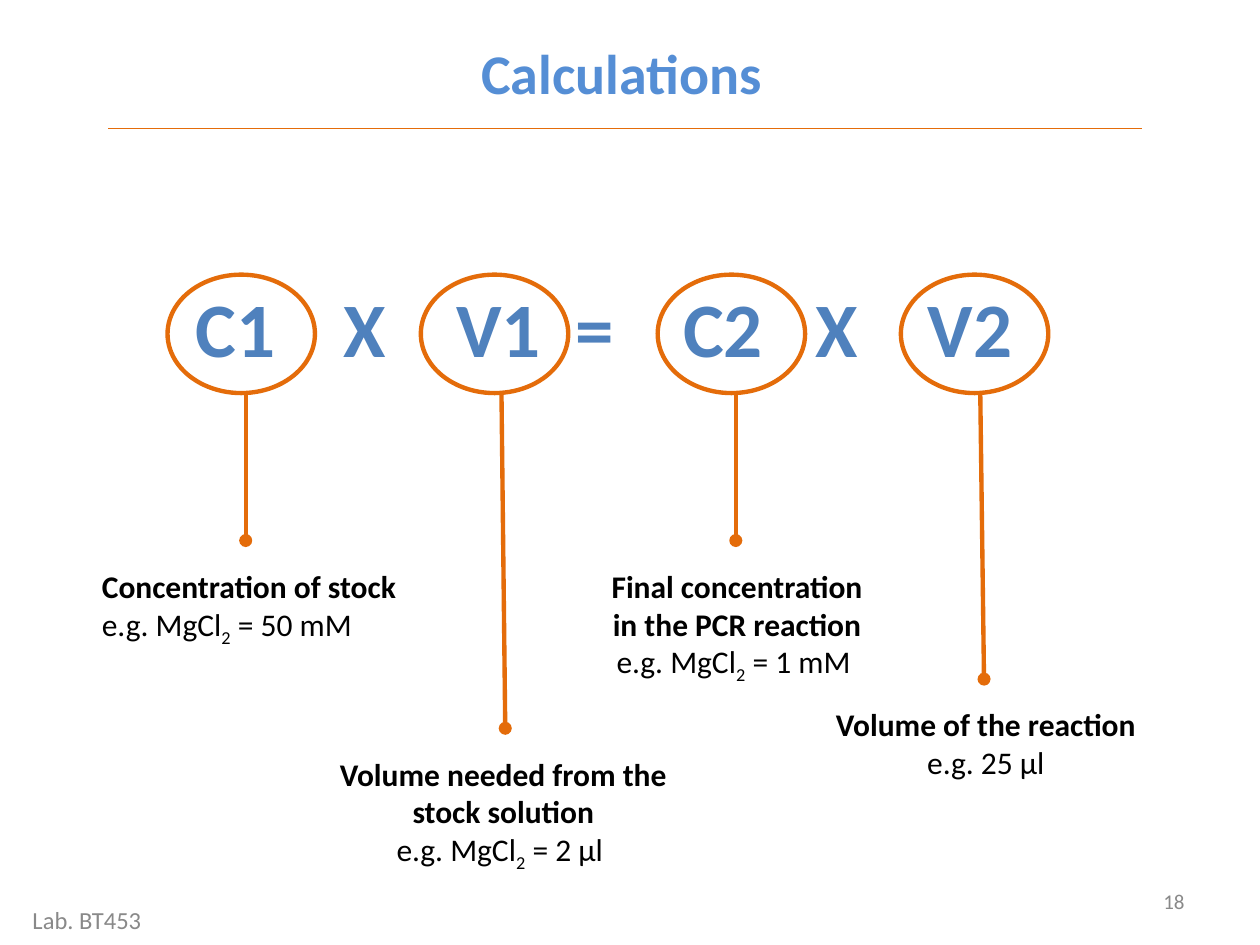
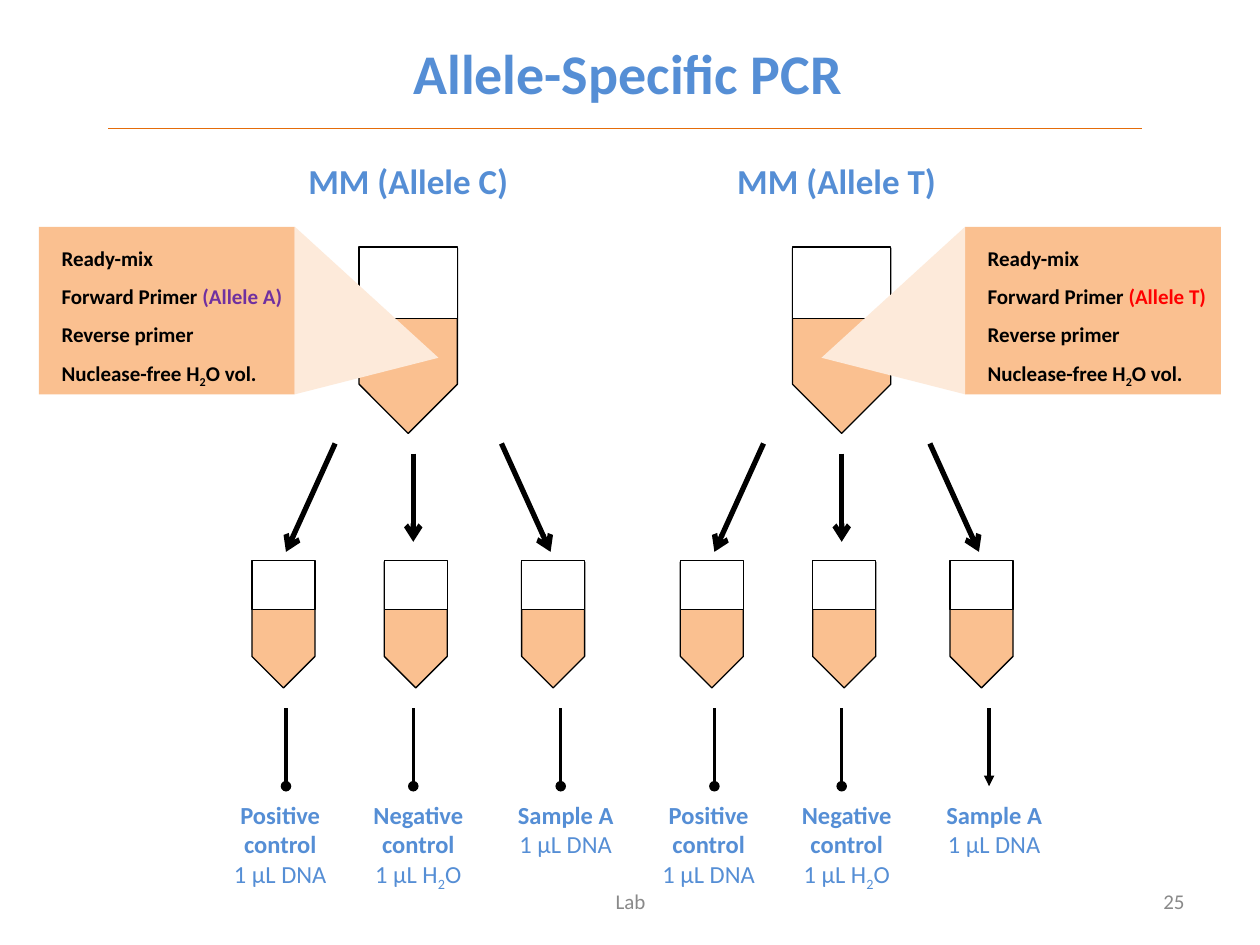
from pptx import Presentation
from pptx.dml.color import RGBColor
from pptx.enum.shapes import MSO_CONNECTOR, MSO_SHAPE
from pptx.enum.text import MSO_ANCHOR, MSO_AUTO_SIZE, PP_ALIGN
from pptx.oxml.ns import qn
from pptx.util import Pt
from lxml import etree

PX = 9144  # EMU per px, 100 px to the inch
FONT = "Calibri"
TITLE_ONLY = 5

TITLE_BLUE = RGBColor(0x55, 0x8E, 0xD5)
FORMULA_BLUE = RGBColor(0x4F, 0x81, 0xBD)
ORANGE = RGBColor(0xE4, 0x6C, 0x0A)
LIQUID = RGBColor(0xFA, 0xC0, 0x90)
POINTER = RGBColor(0xFD, 0xEA, 0xDA)
BLACK = RGBColor(0, 0, 0)
WHITE = RGBColor(0xFF, 0xFF, 0xFF)
GREY = RGBColor(0x89, 0x89, 0x89)
PURPLE = RGBColor(0x70, 0x30, 0xA0)
RED = RGBColor(0xFF, 0, 0)

LEFT, CENTER, RIGHT = PP_ALIGN.LEFT, PP_ALIGN.CENTER, PP_ALIGN.RIGHT
TOP, MIDDLE = MSO_ANCHOR.TOP, MSO_ANCHOR.MIDDLE
STRAIGHT = MSO_CONNECTOR.STRAIGHT
RECT, OVAL = MSO_SHAPE.RECTANGLE, MSO_SHAPE.OVAL

PLAIN = {"bold": False}
SUB = {"sub": True}
PLAIN_SUB = PLAIN | SUB


def emu(*lengths):
    return [round(length * PX) for length in lengths]


def write(frame, paragraphs, size=18, color=BLACK, bold=False, align=LEFT,
          anchor=TOP, wrap=True, spacing=None):
    """Fill a frame; a paragraph is a string or a list of (text, style) runs."""
    frame.word_wrap = wrap
    frame.auto_size = MSO_AUTO_SIZE.NONE
    frame.vertical_anchor = anchor
    for index, content in enumerate(paragraphs):
        paragraph = frame.add_paragraph() if index else frame.paragraphs[0]
        paragraph.alignment = align
        if spacing:
            paragraph.line_spacing = spacing
        runs = [(content, {})] if isinstance(content, str) else content
        for words, style in runs:
            run = paragraph.add_run()
            run.text = words
            run.font.name = FONT
            run.font.size = Pt(size)
            run.font.bold = style.get("bold", bold)
            run.font.color.rgb = style.get("color", color)
            if style.get("sub"):
                run.font._element.set("baseline", "-25000")


def add_text(slide, box, paragraphs, **style):
    frame = slide.shapes.add_textbox(*emu(*box)).text_frame
    write(frame, paragraphs, **style)
    return frame


def paint(shape, fill=None, line=None, width=0.75):
    shape.shadow.inherit = False
    if fill is None:
        shape.fill.background()
    else:
        shape.fill.solid()
        shape.fill.fore_color.rgb = fill
    if line is None:
        shape.line.fill.background()
    else:
        shape.line.color.rgb = line
        shape.line.width = Pt(width)


def add_shape(slide, kind, box, **style):
    paint(slide.shapes.add_shape(kind, *emu(*box)), **style)


def add_polygon(slide, points, **style):
    builder = slide.shapes.build_freeform(*points[0], scale=PX)
    builder.add_line_segments(points[1:], close=True)
    paint(builder.convert_to_shape(), **style)


def add_line(slide, start, end, color, width, tail=None):
    line = slide.shapes.add_connector(STRAIGHT, *emu(*start, *end))
    line.line.color.rgb = color
    line.line.width = Pt(width)
    if tail:
        etree.SubElement(line.get_or_add_ln(), qn("a:tailEnd"), type=tail)
    etree.SubElement(line._element.spPr, qn("a:effectLst"))


def add_titled_slide(deck, title, number):
    slide = deck.slides.add_slide(deck.slide_layouts[TITLE_ONLY])
    heading = slide.shapes.title
    heading.left, heading.top, heading.width, heading.height = emu(90, 31, 817, 53)
    write(heading.text_frame, [title], size=32, color=TITLE_BLUE, bold=True,
          align=CENTER, anchor=MIDDLE)
    add_line(slide, (86, 102), (906, 102), ORANGE, 0.75)
    add_text(slide, (717, 695, 233, 40), [number], size=12, color=GREY,
             align=RIGHT, anchor=MIDDLE)
    return slide


def add_formula(slide, box, centres):
    """Write the dilution formula, each symbol centred on its tab stop."""
    symbols = ["C1", "X", "V1", "=", "C2", "X", "V2"]
    frame = add_text(slide, box, ["\t" + "\t".join(symbols)], size=44,
                     color=FORMULA_BLUE, bold=True)
    inset = 10
    properties = frame.paragraphs[0]._p.get_or_add_pPr()
    stops = etree.SubElement(properties, qn("a:tabLst"))
    for centre in centres:
        position = (centre - box[0] - inset) * PX
        etree.SubElement(stops, qn("a:tab"), pos=str(position), algn="ctr")


def add_term(slide, left, top, leader, note, paragraphs, **style):
    """Circle a symbol and lead to its note.

    leader is (start x, end x, end y) and note is (x, width, height),
    all measured from the left and top of the circle.
    """
    start_x, end_x, end_y = leader
    note_x, note_width, note_height = note
    circle_height, note_gap = 94, 16
    add_shape(slide, OVAL, (left, top, 117, circle_height), line=ORANGE, width=2.5)
    add_line(slide, (left + start_x, top + circle_height),
             (left + end_x, top + end_y), ORANGE, 2.5, "oval")
    add_text(slide, (left + note_x, top + end_y + note_gap, note_width, note_height),
             paragraphs, **style)


def magnesium(amount):
    return [("e.g. MgCl", PLAIN), ("2", PLAIN_SUB), (amount, PLAIN)]


def build_calculations(deck):
    slide = add_titled_slide(deck, "Calculations ", "18")
    add_formula(slide, (63, 218, 836, 84), [187, 290, 396, 472, 574, 664, 770])
    terms = [
        (133, (62, 62, 211), (-62, 255, 74), LEFT,
         ["Concentration of stock", magnesium(" = 50 mM")]),
        (334, (64, 67, 360), (-76, 283, 134), CENTER,
         ["Volume needed from the stock solution", magnesium(" = 2 µl ")]),
        (522, (62, 62, 211), (-55, 236, 134), CENTER,
         ["Final concentration in the PCR reaction", magnesium(" = 1 mM ")]),
        (715, (63, 66, 321), (-74, 283, 100), CENTER,
         ["Volume of the reaction", [("e.g. 25 µl", PLAIN)]]),
    ]
    for left, leader, note, align, paragraphs in terms:
        add_term(slide, left, 218, leader, note, paragraphs, bold=True,
                 align=align, wrap=align == CENTER)
    add_text(slide, (16, 710, 350, 40), ["Lab. BT453"], size=14, color=GREY,
             anchor=MIDDLE)


def add_tube(slide, left, top, width, height):
    right, middle, bottom = left + width, left + width / 2, top + height
    shoulder = bottom - width / 2
    add_polygon(slide, [(right, top), (right, shoulder), (middle, bottom),
                        (left, shoulder), (left, top)], fill=LIQUID, line=BLACK)
    add_shape(slide, RECT, (left, top - 1, width, round(height * 0.39)),
              fill=WHITE, line=BLACK)


def add_recipe(slide, left, top, points_right, primer, primer_color):
    """Draw the master-mix card with a pointer into the tube beside it."""
    width, height = 203, 133
    add_shape(slide, RECT, (left, top, width, height), fill=LIQUID)
    edge, reach = (left + width, 114) if points_right else (left, -114)
    add_polygon(slide, [(edge, top), (edge + reach, top + 104),
                        (edge, top + height)], fill=POINTER)
    add_text(slide, (left + 8, top, width, height), [
        "Ready-mix",
        [("Forward Primer ", {}), (primer, {"color": primer_color})],
        "Reverse primer",
        [("Nuclease-free H", {}), ("2", SUB), ("O vol.", {})],
    ], size=12, bold=True, spacing=1.5)


def add_split(slide, left, top, last_tail):
    """Share the master mix out into three reaction tubes."""
    dna = [("1 µL DNA", PLAIN)]
    water = [("1 µL H", PLAIN), ("2", PLAIN_SUB), ("O", PLAIN)]
    # arrow (start x, start y, end x, end y), tube x, stem x, tail, label x, width
    reactions = [
        ((110, 0, 71, 86), 44, 71, "oval", 0, 133, ["Positive control", dna]),
        ((172, 8, 172, 78), 149, 172, "oval", 102, 148, ["Negative control", water]),
        ((242, 0, 281, 86), 258, 289, last_tail, 219, 148, ["Sample A", dna]),
    ]
    for arrow, tube_x, stem_x, tail, label_x, label_width, label in reactions:
        x1, y1, x2, y2 = arrow
        add_line(slide, (left + x1, top + y1), (left + x2, top + y2),
                 BLACK, 3, "arrow")
        add_tube(slide, left + tube_x, top + 94, 50, 100)
        add_line(slide, (left + stem_x, top + 210), (left + stem_x, top + 272),
                 BLACK, 2, tail)
        add_text(slide, (left + label_x, top + 278, label_width, 80), label,
                 size=14, color=TITLE_BLUE, bold=True, align=CENTER)


def build_allele_pcr(deck):
    slide = add_titled_slide(deck, "Allele-Specific PCR", "25")
    add_text(slide, (342, 695, 317, 40), ["Lab"], size=12, color=GREY,
             align=CENTER, anchor=MIDDLE)
    mixes = [
        (156, "MM (Allele C)", 285, 31, True, "(Allele A)", PURPLE, "oval"),
        (496, "MM (Allele T)", 629, 766, False, "(Allele T)", RED, "triangle"),
    ]
    for left, name, tube_x, card_x, points_right, primer, color, last_tail in mixes:
        add_text(slide, (left + 47, 117, 242, 53), [name], size=20,
                 color=TITLE_BLUE, bold=True, align=CENTER, anchor=MIDDLE)
        add_tube(slide, tube_x, 197, 78, 147)
        add_recipe(slide, card_x, 180, points_right, primer, color)
        add_split(slide, left, 352, last_tail)


def main():
    deck = Presentation()
    deck.slide_width, deck.slide_height = emu(1000, 750)
    build_calculations(deck)
    build_allele_pcr(deck)
    deck.save("out.pptx")


if __name__ == "__main__":
    main()
